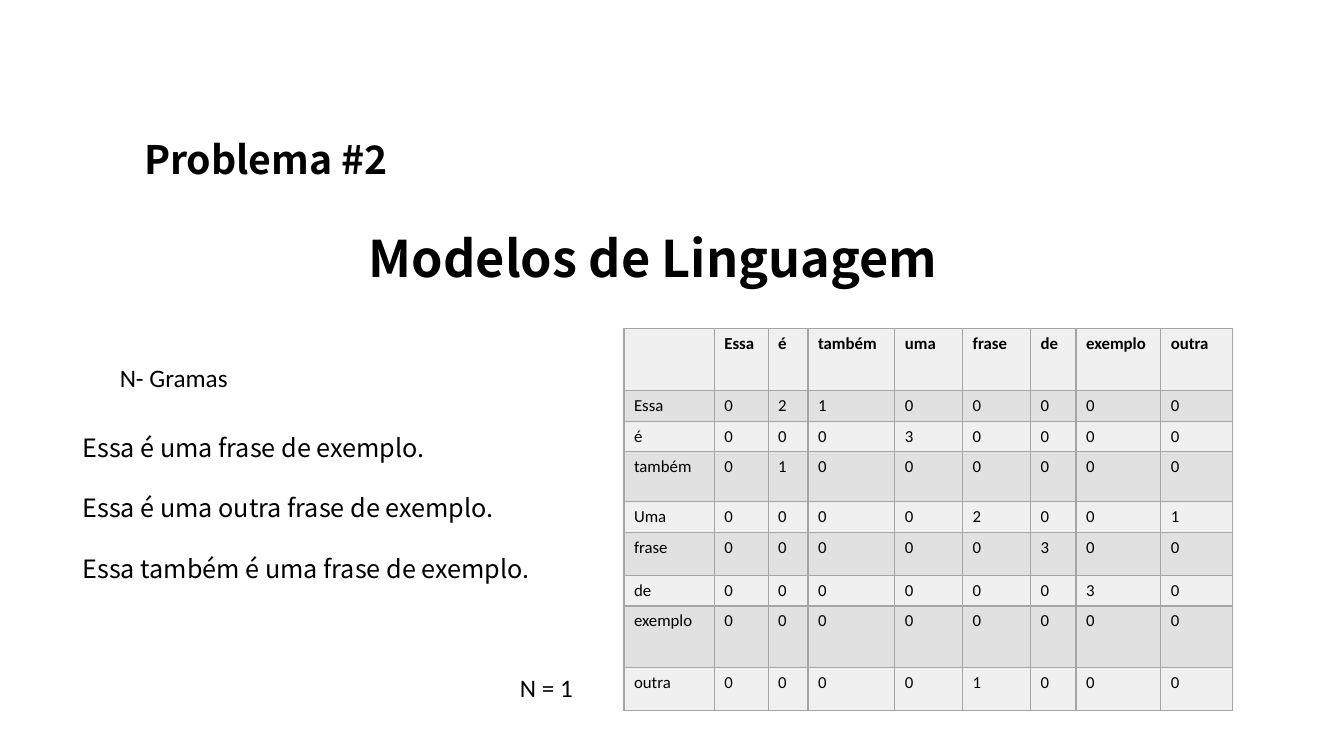
from lxml import etree
from pptx import Presentation
from pptx import util as u
from pptx.dml import color
from pptx.enum import text
from pptx.oxml import ns

BLACK = color.RGBColor(0x00, 0x00, 0x00)
LIGHT = color.RGBColor(0xF0, 0xF0, 0xF0)
DARK = color.RGBColor(0xE1, 0xE1, 0xE1)
BORDER = color.RGBColor(0xA5, 0xA5, 0xA5)
HEADING_FONT = "Noto Sans CJK TC"
TABLE_FONT = "Calibri"

HEADER = ["", "Essa", "é", "também", "uma", "frase", "de", "exemplo", "outra"]
COUNTS = {
    "Essa": "02100000",
    "é": "00030000",
    "também": "01000000",
    "Uma": "00002001",
    "frase": "00000300",
    "de": "00000030",
    "exemplo": "00000000",
    "outra": "00001000",
}
COLUMN_WIDTHS = [64.5, 38.5, 28.5, 62, 48.5, 48.5, 32.5, 60.5, 51.5]
ROW_HEIGHTS = [44.3, 21.4, 21.4, 35.7, 21.4, 30.7, 21.4, 44.3, 30.7]


class SlideBuilder:
    """Add styled titles, text boxes and tables to one slide, in points."""

    def __init__(self, deck):
        self.page = deck.slides.add_slide(deck.slide_layouts[5])

    def style(self, font, **values):
        font.color.rgb = BLACK
        for name, value in values.items():
            setattr(font, name, value)

    def fill_text(self, box, lines, align, gap, **values):
        frame = box.text_frame
        frame.word_wrap = True
        frame.auto_size = text.MSO_AUTO_SIZE.NONE
        frame.vertical_anchor = text.MSO_ANCHOR.TOP
        for index, line in enumerate(lines):
            para = frame.paragraphs[0] if index == 0 else frame.add_paragraph()
            para.alignment = align
            para.space_before = u.Pt(gap if index else 0)
            span = para.add_run()
            span.text = line
            self.style(span.font, **values)

    def title(self, line, area, **values):
        box = self.page.shapes.title
        box.left, box.top, box.width, box.height = map(u.Pt, area)
        self.fill_text(box, [line], text.PP_ALIGN.CENTER, 0, **values)

    def label(self, lines, area, gap=0, **values):
        box = self.page.shapes.add_textbox(*map(u.Pt, area))
        self.fill_text(box, lines, text.PP_ALIGN.LEFT, gap, **values)

    def outline(self, cell):
        properties = cell._tc.get_or_add_tcPr()
        for side in ("a:lnL", "a:lnR", "a:lnT", "a:lnB"):
            line = etree.SubElement(properties, ns.qn(side), w=str(u.Pt(1)))
            fill = etree.SubElement(line, ns.qn("a:solidFill"))
            etree.SubElement(fill, ns.qn("a:srgbClr"), val=str(BORDER))

    def table(self, rows, left, top, widths, heights, **values):
        area = map(u.Pt, (left, top, sum(widths), sum(heights)))
        grid = self.page.shapes.add_table(len(rows), len(widths), *area).table
        grid.horz_banding = False
        for column, width in zip(grid.columns, widths):
            column.width = u.Pt(width)
        for index, (row, height) in enumerate(zip(grid.rows, heights)):
            row.height = u.Pt(height)
            for cell, value in zip(row.cells, rows[index]):
                self.outline(cell)
                cell.fill.solid()
                cell.fill.fore_color.rgb = DARK if index % 2 else LIGHT
                cell.text = value
                para = cell.text_frame.paragraphs[0]
                for item in (para, *para.runs):
                    self.style(item.font, bold=index == 0, **values)


def main():
    deck = Presentation()
    deck.slide_width, deck.slide_height = u.Pt(960), u.Pt(540)
    slide = SlideBuilder(deck)
    heading = {"name": HEADING_FONT, "bold": True}
    body = {"name": TABLE_FONT, "size": u.Pt(18)}
    slide.title("Modelos de Linguagem", (158.4, 158.4, 616.3, 51.1),
                size=u.Pt(36), **heading)
    slide.label(["Problema #2"], (95.8, 92.9, 420.5, 41),
                size=u.Pt(28), **heading)
    slide.label(["N- Gramas"], (78.5, 255.6, 227.5, 28.8), **body)
    slide.label(
        ["Essa é uma frase de exemplo.",
         "Essa é uma outra frase de exemplo.",
         "Essa também é uma frase de exemplo."],
        (51.8, 305.3, 464.4, 116.6), gap=21.5,
        name=HEADING_FONT, size=u.Pt(18))
    rows = [HEADER] + [[word, *counts] for word, counts in COUNTS.items()]
    slide.table(rows, 445.7, 234.7, COLUMN_WIDTHS, ROW_HEIGHTS,
                name=TABLE_FONT, size=u.Pt(12))
    slide.label(["N = 1"], (364.3, 476.6, 130.3, 28.8), **body)
    deck.save("out.pptx")


if __name__ == "__main__":
    main()
